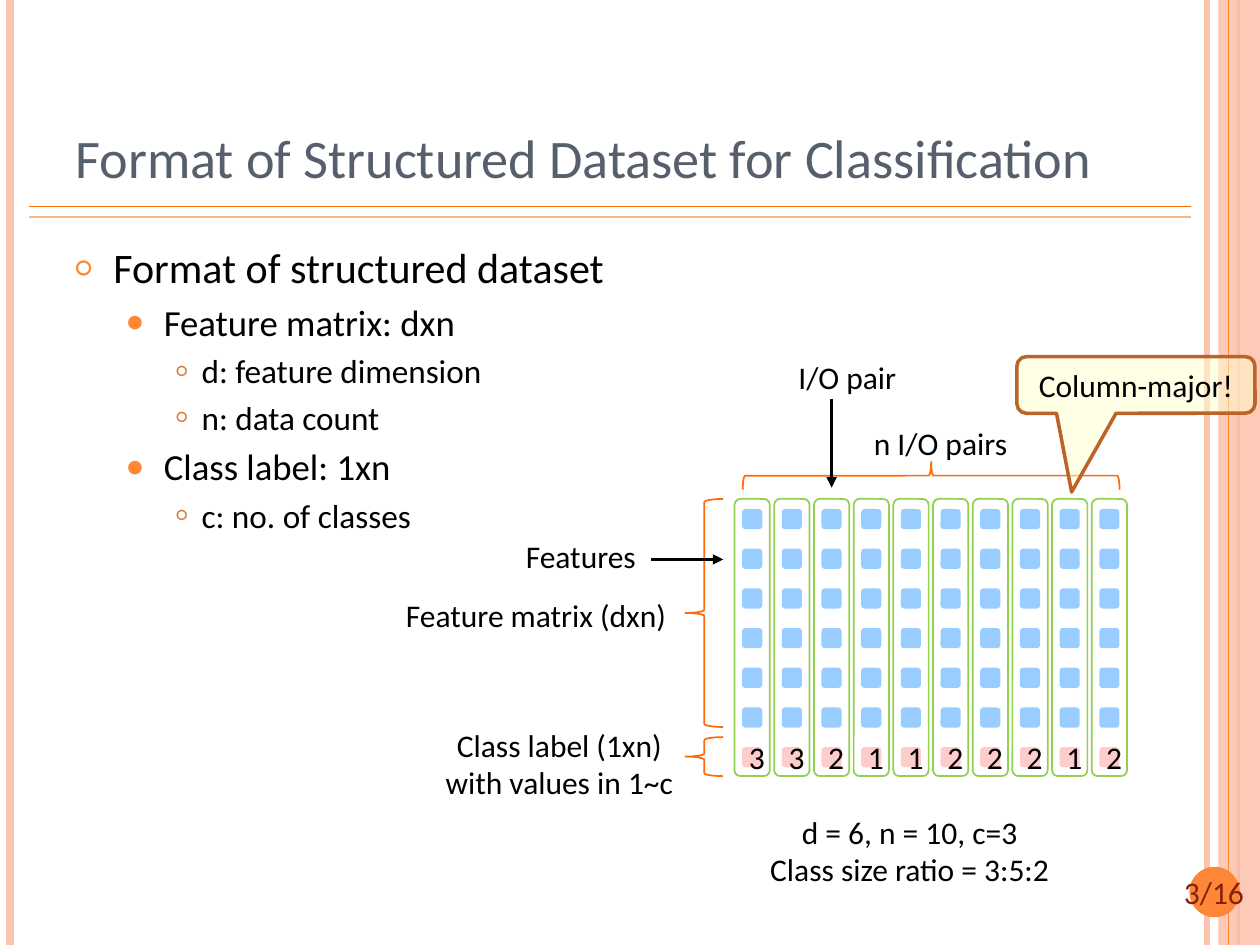
from lxml.etree import SubElement
from pptx import Presentation
from pptx.dml.color import RGBColor
from pptx.enum.shapes import MSO_CONNECTOR, MSO_SHAPE as Form
from pptx.enum.text import MSO_ANCHOR as Anchor, MSO_AUTO_SIZE as Fit, PP_ALIGN as Align
from pptx.oxml.ns import qn
from pptx.util import Inches, Pt

WIDTH, HEIGHT = 10, 7.5
FONT = "Calibri"
BLACK = RGBColor(0x00, 0x00, 0x00)
SLATE = RGBColor(0x57, 0x5F, 0x6D)
MAROON = RGBColor(0x86, 0x21, 0x10)
ORANGE = RGBColor(0xFE, 0x86, 0x37)
DEEP_ORANGE = RGBColor(0xFF, 0x6B, 0x0A)
LIGHT_ORANGE = RGBColor(0xFE, 0xB6, 0x87)
PALE_ORANGE = RGBColor(0xFE, 0xC3, 0xAE)
RUST = RGBColor(0xE0, 0x76, 0x31)
BROWN = RGBColor(0xBC, 0x63, 0x29)
BLUE = RGBColor(0x99, 0xCC, 0xFF)
PINK = RGBColor(0xFF, 0xCC, 0xCC)
GREEN = RGBColor(0x92, 0xD0, 0x50)
YELLOW = RGBColor(0xFF, 0xFF, 0xCC)

TITLE = "Format of Structured Dataset for Classification"
OUTLINE = [
    (0, "Format of structured dataset"),
    (1, "Feature matrix: dxn"),
    (2, "d: feature dimension"),
    (2, "n: data count"),
    (1, "Class label: 1xn"),
    (2, "c: no. of classes"),
]
LEVELS = [
    dict(size=24, before=6, margin=0.3, hang=0.3, bullet="○", color=ORANGE, scale=70),
    dict(size=21, before=4.2, margin=0.7, hang=0.3, bullet="●", color=ORANGE, scale=80),
    dict(size=19, before=3.8, margin=1, hang=0.2, bullet="○", color=RUST, scale=60),
]
CLASS_LABELS = [3, 3, 2, 1, 1, 2, 2, 2, 1, 2]
FEATURE_COUNT = 6
PITCH, CELL = 0.315, 0.16
GRID_LEFT, GRID_TOP = 5.89, 4.04
PAIR_LEFT, PAIR_TOP, PAIR_WIDTH, PAIR_HEIGHT = 5.83, 3.96, 0.28, 2.2

CAPTIONS = [
    ((3.11, 4.68, 2.29, 0.4), "Feature matrix (dxn)"),
    ((3.43, 5.71, 2.02, 0.71), "Class label (1xn)\nwith values in 1~c"),
    ((6.76, 3.32, 1.41, 0.4), "n I/O pairs"),
    ((6, 6.4, 2.44, 0.71), "d = 6, n = 10, c=3\nClass size ratio = 3:5:2"),
    ((4.07, 4.21, 1.08, 0.4), "Features"),
    ((6.23, 2.79, 0.99, 0.4), "I/O pair"),
]
BRACES = [
    ((5.44, PAIR_TOP, 0.3, 1.81), 0),
    ((5.44, 5.85, 0.3, 0.31), 0),
    ((7.28, 2.28, 0.22, 2.99), 90),
]
ARROWS = [((5.17, 4.44), (5.74, 4.44)), ((6.6, 3.17), (6.6, 3.87))]
EDGE_RULES = [
    (9.58, PALE_ORANGE, 3),
    (0.08, PALE_ORANGE, 4.5),
    (9.83, ORANGE, 1.5),
]
TITLE_RULES = [(1.64, DEEP_ORANGE), (1.72, LIGHT_ORANGE)]


def assign(target, values):
    for key, value in values.items():
        setattr(target, key, value)


def place(part, box):
    assign(part, dict(zip(("left", "top", "width", "height"), map(Inches, box))))


def style_font(font, size, color):
    assign(font, dict(name=FONT, size=Pt(size)))
    font.color.rgb = color


def write(part, text, color=BLACK, anchor=Anchor.TOP, wrap=False):
    frame = part.text_frame
    assign(frame, dict(text=text, word_wrap=wrap, vertical_anchor=anchor))
    for paragraph in frame.paragraphs:
        paragraph.alignment = Align.CENTER
        style_font(paragraph.runs[0].font, 18, color)


def set_alpha(fill_owner, percent):
    color = fill_owner.find(".//" + qn("a:solidFill"))[0]
    SubElement(color, qn("a:alpha"), val=str(percent * 1000))


def add_form(shapes, form, box, fill=None, line=None, weight=1):
    part = shapes.add_shape(form, *map(Inches, box))
    part.shadow.inherit = False
    if fill is None:
        part.fill.background()
    else:
        part.fill.solid()
        part.fill.fore_color.rgb = fill
    if line is None:
        part.line.fill.background()
    else:
        part.line.color.rgb = line
        part.line.width = Pt(weight)
    return part


def add_line(shapes, start, end, color, weight, arrow=False):
    rule = shapes.add_connector(MSO_CONNECTOR.STRAIGHT, *map(Inches, start + end))
    rule.line.color.rgb = color
    rule.line.width = Pt(weight)
    properties = rule._element.spPr
    if arrow:
        SubElement(properties.find(qn("a:ln")), qn("a:tailEnd"), type="triangle")
    SubElement(properties, qn("a:effectLst"))
    return rule


def add_frame(shapes):
    for x, color, weight in EDGE_RULES:
        add_line(shapes, (x, 0), (x, HEIGHT), color, weight)
    band = add_form(shapes, Form.RECTANGLE, (9.67, 0, 0.33, HEIGHT), PALE_ORANGE)
    set_alpha(band._element.spPr, 87)
    add_line(shapes, (9.75, 0), (9.75, HEIGHT), ORANGE, 0.75)
    for y, color in TITLE_RULES:
        add_line(shapes, (0.23, y), (9.45, y), color, 1)
    add_form(shapes, Form.OVAL, (9.44, 6.88, 0.4, 0.4), ORANGE)
    page = shapes.add_textbox(*map(Inches, (9.18, 6.88, 0.91, 0.4)))
    write(page, "3/16", MAROON, wrap=True)


def add_title(title):
    place(title, (0.5, 0.3, 8.38, 1.25))
    assign(title.text_frame, dict(text=TITLE, vertical_anchor=Anchor.BOTTOM, auto_size=Fit.NONE))
    heading = title.text_frame.paragraphs[0]
    heading.alignment = Align.LEFT
    style_font(heading.runs[0].font, 31, SLATE)


def add_outline(body):
    place(body, (0.5, 1.87, 8.17, 5.21))
    frame = body.text_frame
    frame.text = "\n".join(text for _, text in OUTLINE)
    frame.auto_size = Fit.NONE
    for (level, _), paragraph in zip(OUTLINE, frame.paragraphs):
        look = LEVELS[level]
        assign(paragraph, dict(level=level, space_before=Pt(look["before"])))
        style_font(paragraph.runs[0].font, look["size"], BLACK)
        properties = paragraph._p.get_or_add_pPr()
        properties.set("marL", str(Inches(look["margin"])))
        properties.set("indent", str(-Inches(look["hang"])))
        color = SubElement(properties, qn("a:buClr"))
        SubElement(color, qn("a:srgbClr"), val=str(look["color"]))
        SubElement(properties, qn("a:buSzPct"), val=str(look["scale"] * 1000))
        SubElement(properties, qn("a:buFont"), typeface=FONT)
        SubElement(properties, qn("a:buChar"), char=look["bullet"])


def add_dataset(shapes):
    for column, label in enumerate(CLASS_LABELS):
        x = GRID_LEFT + column * PITCH
        for row in range(FEATURE_COUNT + 1):
            is_label = row == FEATURE_COUNT
            box = (x, GRID_TOP + row * PITCH, CELL, CELL)
            cell = add_form(shapes, Form.ROUNDED_RECTANGLE, box, PINK if is_label else BLUE)
            if is_label:
                write(cell, str(label), anchor=Anchor.MIDDLE, wrap=True)
        pair = (PAIR_LEFT + column * PITCH, PAIR_TOP, PAIR_WIDTH, PAIR_HEIGHT)
        add_form(shapes, Form.ROUNDED_RECTANGLE, pair, line=GREEN)


def add_annotations(shapes):
    for box, angle in BRACES:
        add_form(shapes, Form.LEFT_BRACE, box, line=DEEP_ORANGE).rotation = angle
    for box, text in CAPTIONS:
        write(shapes.add_textbox(*map(Inches, box)), text)
    callout = add_form(shapes, Form.ROUNDED_RECTANGULAR_CALLOUT,
                       (8.07, 2.83, 1.89, 0.45), YELLOW, BROWN, 2)
    for index, value in enumerate((-0.27, 1.89, 0.17)):
        callout.adjustments[index] = value
    set_alpha(callout._element.spPr, 50)
    write(callout, "Column-major!", anchor=Anchor.MIDDLE)
    for start, end in ARROWS:
        add_line(shapes, start, end, BLACK, 1.75, arrow=True)


def main():
    deck = Presentation()
    assign(deck, dict(slide_width=Inches(WIDTH), slide_height=Inches(HEIGHT)))
    slide = deck.slides.add_slide(deck.slide_layouts[1])
    add_frame(slide.shapes)
    add_title(slide.shapes.title)
    add_outline(slide.placeholders[1])
    add_dataset(slide.shapes)
    add_annotations(slide.shapes)
    deck.save("out.pptx")


if __name__ == "__main__":
    main()
